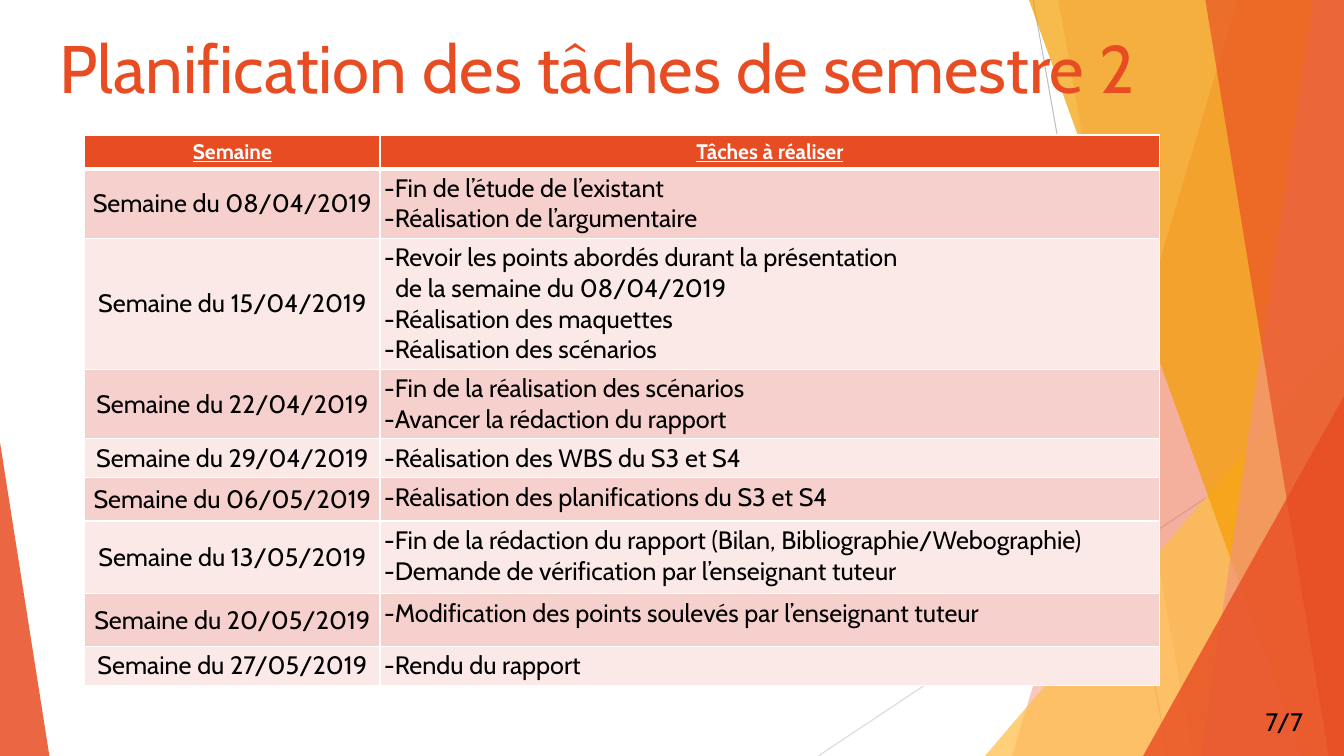
from lxml.etree import SubElement
from pptx import Presentation
from pptx.dml.color import RGBColor
from pptx.enum.shapes import MSO_CONNECTOR, MSO_SHAPE
from pptx.enum.text import MSO_ANCHOR, PP_ALIGN
from pptx.oxml.ns import qn
from pptx.util import Pt

WIDTH, HEIGHT = 960, 540
ORANGE = "E84C22"


def color(value):
    return RGBColor.from_string(value)


def format_text(para, size, value, align=PP_ALIGN.LEFT):
    para.alignment = align
    for span in para.runs:
        span.font.name = "Cabin"
        span.font.size = Pt(size)
        span.font.color.rgb = color(value)


deck = Presentation()
deck.slide_width, deck.slide_height = Pt(WIDTH), Pt(HEIGHT)
page = deck.slides.add_slide(deck.slide_layouts[5])

rays = [(738, 0, 834, HEIGHT, "BFBFBF"), (WIDTH, 290, 584.5, HEIGHT, "D9D9D9")]
for x1, y1, x2, y2, value in rays:
    ray = page.shapes.add_connector(MSO_CONNECTOR.STRAIGHT, Pt(x1), Pt(y1), Pt(x2), Pt(y2))
    ray.line.color.rgb = color(value)
    ray.line.width = Pt(0.75)
    SubElement(ray.element.spPr, qn("a:effectLst"))

# Bands hold top and bottom x; triangles hold left, top, width, height and apex.
facets = [
    ((884, 723), ORANGE, 30),
    ((756, 852), ORANGE, 20),
    ((703.5, 240, 256.5, 300, 1), "FFBD47", 72),
    ((735, 929.5), "F49D00", 70),
    ((938, 858), "F1947A", 70),
    ((861, 949), ORANGE, 65),
    ((816.5, 283, 143.5, 257, 1), ORANGE, 80),
    ((0, 316, 35.3, 224, 0), ORANGE, 85),
]
for outline, value, opacity in facets:
    if len(outline) == 2:
        top, bottom = outline
        builder = page.shapes.build_freeform(top, 0, scale=Pt(1))
        builder.add_line_segments([(WIDTH, 0), (WIDTH, HEIGHT), (bottom, HEIGHT)])
        facet = builder.convert_to_shape()
    else:
        *frame, apex = outline
        facet = page.shapes.add_shape(MSO_SHAPE.ISOSCELES_TRIANGLE, *map(Pt, frame))
        facet.adjustments[0] = apex
    facet.shadow.inherit = False
    facet.line.fill.background()
    facet.fill.solid()
    facet.fill.fore_color.rgb = color(value)
    tint = facet.element.spPr.find(qn("a:solidFill"))[0]
    SubElement(tint, qn("a:alpha"), val=str(opacity * 1000))

title = page.shapes.title
title.element.getparent().append(title.element)
title.left, title.top, title.width, title.height = Pt(-2), Pt(15), Pt(857), Pt(65.5)
title.text_frame.text = "Planification des tâches de semestre 2"
title.text_frame.vertical_anchor = MSO_ANCHOR.TOP
format_text(title.text_frame.paragraphs[0], 48, ORANGE, PP_ALIGN.CENTER)

schedule = [
    (24, "Semaine", ["Tâches à réaliser"]),
    (49, "Semaine du 08/04/2019", ["-Fin de l’étude de l’existant", "-Réalisation de l’argumentaire"]),
    (93, "Semaine du 15/04/2019", [
        "-Revoir les points abordés durant la présentation",
        "de la semaine du 08/04/2019",
        "-Réalisation des maquettes",
        "-Réalisation des scénarios",
    ]),
    (49, "Semaine du 22/04/2019", ["-Fin de la réalisation des scénarios", "-Avancer la rédaction du rapport"]),
    (27, "Semaine du 29/04/2019", ["-Réalisation des WBS du S3 et S4"]),
    (31, "Semaine du 06/05/2019", ["-Réalisation des planifications du S3 et S4"]),
    (52, "Semaine du 13/05/2019", [
        "-Fin de la rédaction du rapport (Bilan, Bibliographie/Webographie)",
        "-Demande de vérification par l’enseignant tuteur",
    ]),
    (37.5, "Semaine du 20/05/2019", ["-Modification des points soulevés par l’enseignant tuteur"]),
    (28, "Semaine du 27/05/2019", ["-Rendu du rapport"]),
]
table = page.shapes.add_table(len(schedule), 2, Pt(60.5), Pt(96.5), Pt(768), Pt(390.5)).table
table.columns[0].width, table.columns[1].width = Pt(211), Pt(557)
for row, (height, week, tasks) in enumerate(schedule):
    table.rows[row].height = Pt(height)
    header = row == 0
    for column, lines in enumerate([[week], tasks]):
        cell = table.cell(row, column)
        cell.margin_left = cell.margin_right = cell.margin_top = cell.margin_bottom = Pt(2.88)
        centered = header or column == 0
        cell.vertical_anchor = MSO_ANCHOR.MIDDLE if column == 0 and not header else MSO_ANCHOR.TOP
        properties = cell._tc.get_or_add_tcPr()
        for side in ("lnL", "lnR", "lnT", "lnB"):
            thick = (row, side) in [(0, "lnB"), (1, "lnT")]
            border = SubElement(properties, qn("a:" + side), w=str(Pt(3 if thick else 1)))
            SubElement(SubElement(border, qn("a:solidFill")), qn("a:srgbClr"), val="FFFFFF")
        cell.fill.solid()
        cell.fill.fore_color.rgb = color(ORANGE if header else "F6D0CD" if row % 2 else "FBE9E8")
        cell.text_frame.text = "\n".join(lines)
        for para in cell.text_frame.paragraphs:
            if not centered and not para.text.startswith("-"):
                para._p.get_or_add_pPr().set("marL", str(Pt(8)))
            format_text(para, 15 if header else 18, "FFFFFF" if header else "000000",
                        PP_ALIGN.CENTER if centered else PP_ALIGN.LEFT)
            for span in para.runs:
                span.font.bold = span.font.underline = header

box = page.shapes.add_textbox(Pt(897), Pt(501), Pt(63), Pt(29))
box.text_frame.word_wrap = True
box.text_frame.text = "7/7"
format_text(box.text_frame.paragraphs[0], 18, "000000")

deck.save("out.pptx")
